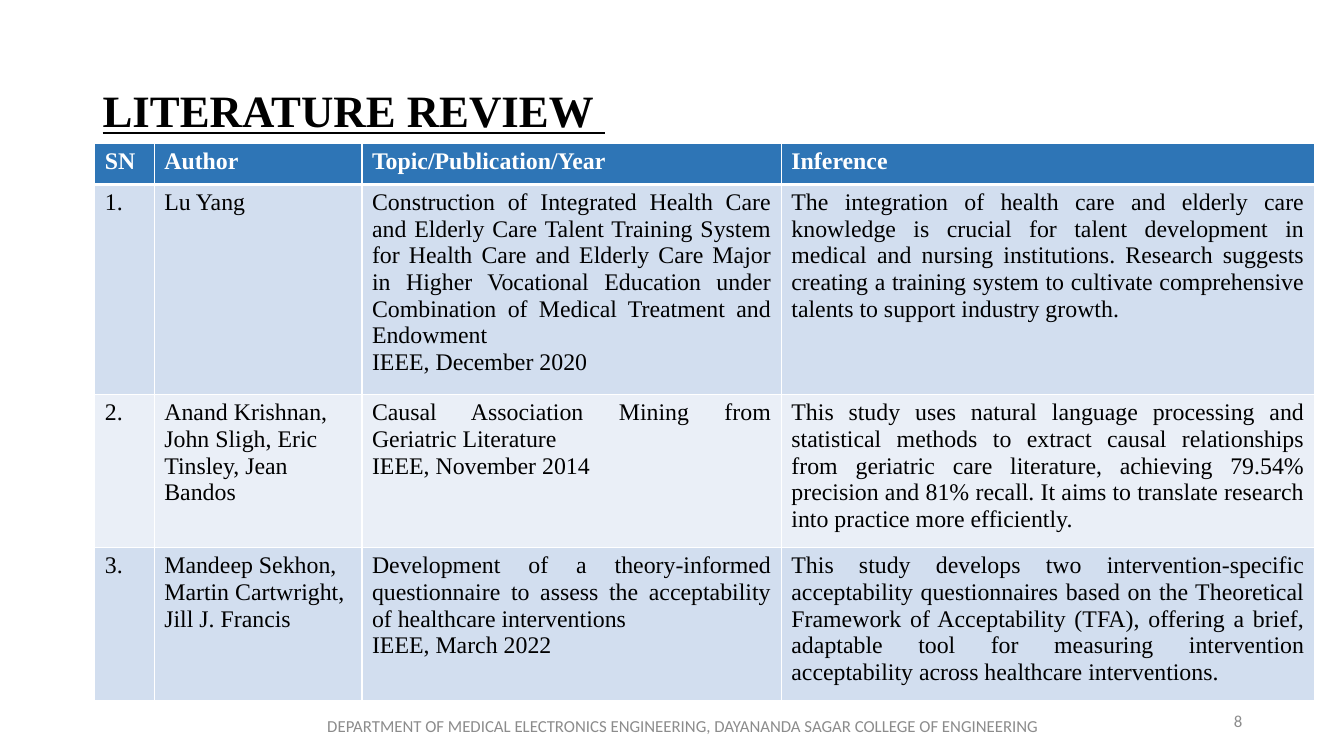
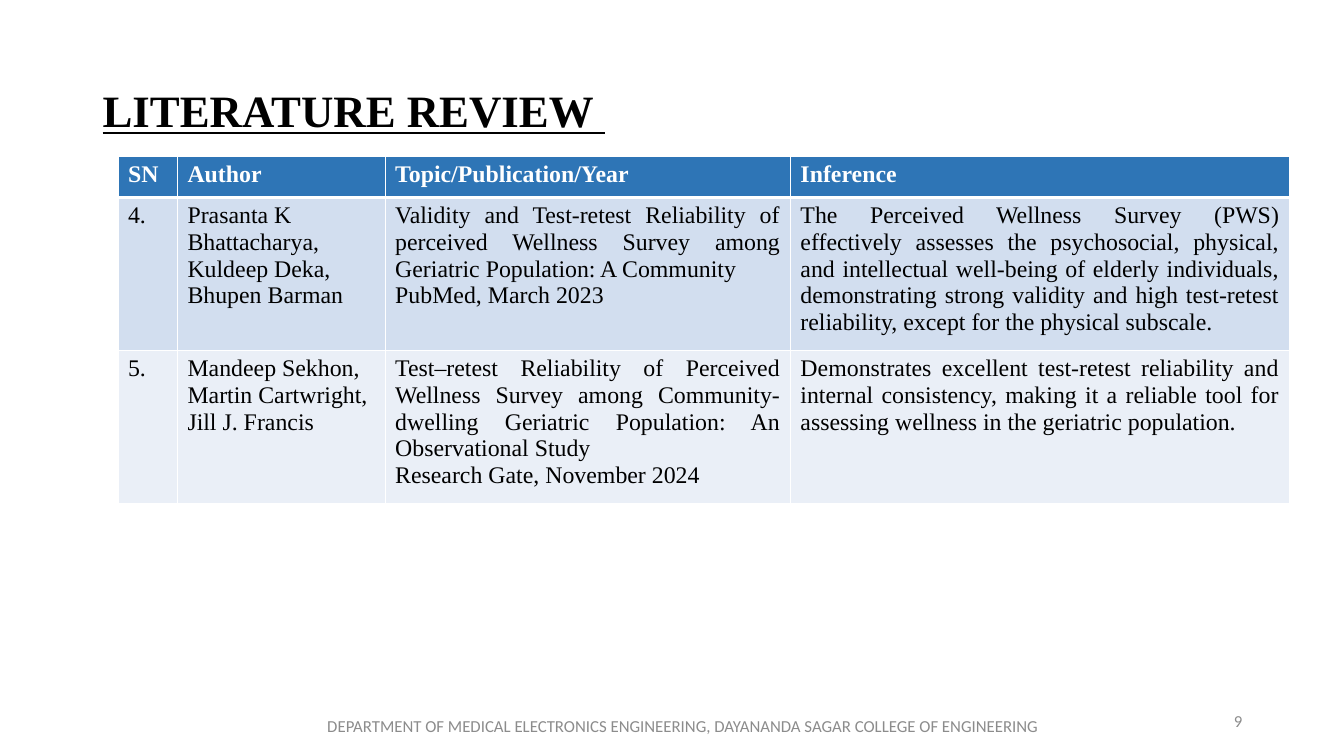
from dataclasses import dataclass

from lxml import etree
from pptx import Presentation
from pptx.dml.color import RGBColor
from pptx.enum.text import MSO_ANCHOR, PP_ALIGN
from pptx.oxml.ns import qn
from pptx.util import Inches, Pt

LEFT, CENTER = PP_ALIGN.LEFT, PP_ALIGN.CENTER
RIGHT, JUSTIFY = PP_ALIGN.RIGHT, PP_ALIGN.JUSTIFY
MIDDLE = MSO_ANCHOR.MIDDLE


@dataclass(frozen=True)
class Theme:
    serif: str = "Times New Roman"
    sans: str = "Calibri"
    title_size: int = 32
    table_size: int = 17
    footer_size: int = 12
    ink: str = "000000"
    white: str = "FFFFFF"
    muted: str = "8C8C8C"
    header: str = "2E75B6"
    bands: tuple = ("D2DEEF", "EAEFF7")
    rule: int = 1
    header_rule: int = 3


THEME = Theme()
TITLE = "LITERATURE REVIEW "
FOOTER = "DEPARTMENT OF MEDICAL ELECTRONICS ENGINEERING, DAYANANDA SAGAR COLLEGE OF ENGINEERING"
HEADINGS = ("SN", "Author", "Topic/Publication/Year", "Inference")
HEADER_HEIGHT = 0.41

REVIEWS = [
    {
        "number": 8,
        "at": (0.94, 1.42),
        "cols": (0.59, 2.06, 4.16, 5.29),
        "heights": (1.94, 1.42, 1.42),
        "rows": [
            ("1.", "Lu Yang",
             "Construction of Integrated Health Care and Elderly Care Talent Training System "
             "for Health Care and Elderly Care Major in Higher Vocational Education under "
             "Combination of Medical Treatment and Endowment\nIEEE, December 2020",
             "The integration of health care and elderly care knowledge is crucial for talent "
             "development in medical and nursing institutions. Research suggests creating a "
             "training system to cultivate comprehensive talents to support industry growth."),
            ("2.", "Anand Krishnan, John Sligh, Eric Tinsley, Jean Bandos",
             "Causal Association Mining from Geriatric Literature\nIEEE, November 2014",
             "This study uses natural language processing and statistical methods to extract "
             "causal relationships from geriatric care literature, achieving 79.54% precision "
             "and 81% recall. It aims to translate research into practice more efficiently."),
            ("3.", "Mandeep Sekhon, Martin Cartwright, Jill J. Francis",
             "Development of a theory-informed questionnaire to assess the acceptability "
             "of healthcare interventions\nIEEE, March 2022",
             "This study develops two intervention-specific acceptability questionnaires based "
             "on the Theoretical Framework of Acceptability (TFA), offering a brief, adaptable "
             "tool for measuring intervention acceptability across healthcare interventions."),
        ],
    },
    {
        "number": 9,
        "at": (1.17, 1.55),
        "cols": (0.59, 2.06, 4.02, 4.95),
        "heights": (1.42, 1.42),
        "rows": [
            ("4.", "Prasanta K Bhattacharya, Kuldeep Deka, Bhupen Barman",
             "Validity and Test-retest Reliability of perceived Wellness Survey among "
             "Geriatric Population: A Community\nPubMed, March 2023",
             "The Perceived Wellness Survey (PWS) effectively assesses the psychosocial, "
             "physical, and intellectual well-being of elderly individuals, demonstrating strong "
             "validity and high test-retest reliability, except for the physical subscale."),
            ("5.", "Mandeep Sekhon, Martin Cartwright, Jill J. Francis",
             "Test–retest Reliability of Perceived Wellness Survey among Community-dwelling "
             "Geriatric Population: An Observational Study\nResearch Gate, November 2024",
             "Demonstrates excellent test-retest reliability and internal consistency, making "
             "it a reliable tool for assessing wellness in the geriatric population."),
        ],
    },
]


def format_text(tf, font, size, color, align, bold=False, underline=False):
    for p in tf.paragraphs:
        p.alignment = align
        for r in p.runs:
            r.font.name = font
            r.font.size = Pt(size)
            r.font.color.rgb = RGBColor.from_string(color)
            r.font.bold = bold
            r.font.underline = underline


def add_text(s, text, box, *style, **options):
    sp = s.shapes.add_textbox(*(Inches(v) for v in box))
    tf = sp.text_frame
    tf.word_wrap = True
    tf.vertical_anchor = MIDDLE
    tf.text = text
    format_text(tf, *style, **options)
    return tf


def add_frame(s, number):
    tf = add_text(s, TITLE, (0.92, 0.4, 11.5, 1.45), THEME.serif, THEME.title_size,
                  THEME.ink, LEFT, bold=True, underline=True)
    tf.paragraphs[0].line_spacing = 0.9
    footer_style = (THEME.sans, THEME.footer_size, THEME.muted)
    add_text(s, FOOTER, (3.08, 7, 7.39, 0.4), *footer_style, CENTER)
    add_text(s, str(number), (9.42, 6.95, 3, 0.4), *footer_style, RIGHT)


def set_borders(cell, top, bottom):
    tc_pr = cell._tc.get_or_add_tcPr()
    widths = {"a:lnL": THEME.rule, "a:lnR": THEME.rule, "a:lnT": top, "a:lnB": bottom}
    for tag, width in widths.items():
        ln = etree.SubElement(tc_pr, qn(tag), w=str(Pt(width)))
        fill = etree.SubElement(ln, qn("a:solidFill"))
        etree.SubElement(fill, qn("a:srgbClr"), val=THEME.white)


def fill_cell(cell, text, row, col):
    is_header = row == 0
    set_borders(cell,
                THEME.header_rule if row == 1 else THEME.rule,
                THEME.header_rule if is_header else THEME.rule)
    cell.fill.solid()
    color = THEME.header if is_header else THEME.bands[(row - 1) % 2]
    cell.fill.fore_color.rgb = RGBColor.from_string(color)
    cell.text_frame.text = text
    format_text(cell.text_frame, THEME.serif, THEME.table_size,
                THEME.white if is_header else THEME.ink,
                LEFT if col == 1 and not is_header else JUSTIFY, bold=is_header)


def add_review_table(s, at, cols, heights, rows):
    heights = (HEADER_HEIGHT, *heights)
    left, top = at
    table = s.shapes.add_table(len(heights), len(cols), Inches(left), Inches(top),
                               Inches(sum(cols)), Inches(sum(heights))).table
    for column, width in zip(table.columns, cols):
        column.width = Inches(width)
    for row, height in zip(table.rows, heights):
        row.height = Inches(height)
    for i, texts in enumerate([HEADINGS, *rows]):
        for j, text in enumerate(texts):
            fill_cell(table.cell(i, j), text, i, j)


def main():
    prs = Presentation()
    prs.slide_width = Inches(13.33)
    prs.slide_height = Inches(7.5)
    for review in REVIEWS:
        s = prs.slides.add_slide(prs.slide_layouts[6])
        add_frame(s, review["number"])
        add_review_table(s, review["at"], review["cols"], review["heights"], review["rows"])
    prs.save("out.pptx")


if __name__ == "__main__":
    main()
